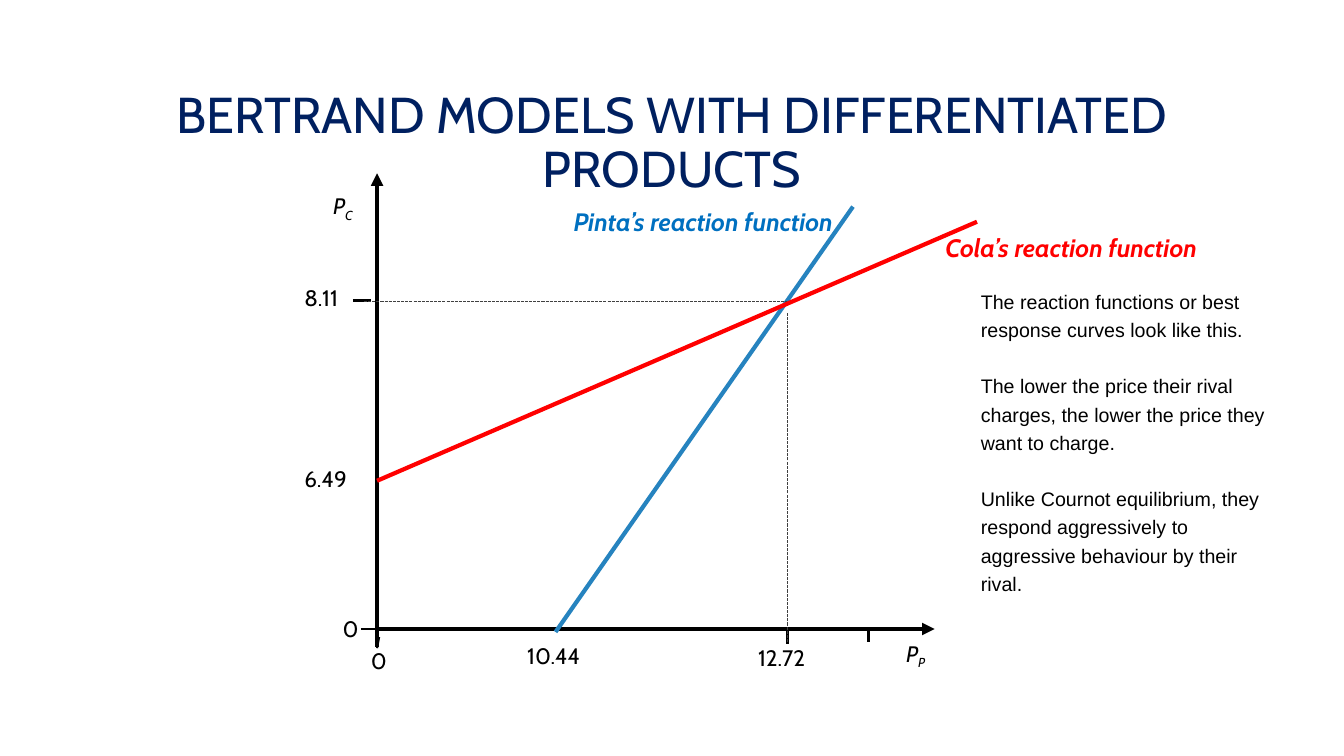
"""Build a slide of two reaction functions in a Bertrand price model."""
from lxml import etree
from pptx import Presentation, util as u
from pptx.dml.color import RGBColor
from pptx.enum import dml, shapes, text
from pptx.oxml.ns import qn

BLACK = RGBColor(0x00, 0x00, 0x00)
GUIDE_GREY = RGBColor(0x40, 0x40, 0x40)
NAVY = RGBColor(0x00, 0x20, 0x60)
RED = RGBColor(0xFF, 0x00, 0x00)
LABEL_BLUE = RGBColor(0x00, 0x70, 0xC0)
CURVE_BLUE = RGBColor(0x26, 0x83, 0xBF)

COLUMNS, ROWS = 133.3, 75
ORIGIN_X, ORIGIN_Y = 37.4, 62.4
EQUILIBRIUM_X, EQUILIBRIUM_Y = 78.1, 29.9
LABEL_HEIGHT = 3.7


def add_run(paragraph, words, size=16, font="Cabin", color=BLACK,
            bold=False, italic=False, baseline=None):
    """Add one formatted run to a paragraph."""
    run = paragraph.add_run()
    run.text = words
    run.font.size = u.Pt(size)
    run.font.name = font
    run.font.color.rgb = color
    run.font.bold = bold
    run.font.italic = italic
    if baseline:
        run.font._element.set("baseline", str(baseline))


class Diagram:
    """Hold the slide and its grid, and draw elements in columns and rows."""

    def __init__(self, deck):
        self.slide = deck.slides.add_slide(deck.slide_layouts[6])
        self.column = deck.slide_width / COLUMNS
        self.row = deck.slide_height / ROWS

    def place(self, column, row):
        """Turn columns and rows into slide lengths."""
        return round(column * self.column), round(row * self.row)

    def text(self, column, row, width, height, paragraphs, centred=False,
             spacing=1.0, gap=0, **style):
        """Add a text box; each paragraph is a list of words and format."""
        box = self.slide.shapes.add_textbox(
            *self.place(column, row), *self.place(width, height))
        frame = box.text_frame
        frame.word_wrap = True
        for index, runs in enumerate(paragraphs):
            paragraph = frame.add_paragraph() if index else frame.paragraphs[0]
            paragraph.line_spacing = spacing
            paragraph.space_before = u.Pt(gap if index else 0)
            if centred:
                paragraph.alignment = text.PP_ALIGN.CENTER
            for words, extra in runs:
                add_run(paragraph, words, **{**style, **extra})

    def label(self, column, row, width, words, **style):
        """Add a one-line label."""
        self.text(column, row, width, LABEL_HEIGHT, [[(words, {})]], **style)

    def price(self, column, row, firm):
        """Add an axis name: an italic P with the firm as subscript."""
        runs = [("P", {}), (firm, {"baseline": -25000})]
        self.text(column, row, 5.2, LABEL_HEIGHT, [runs],
                  centred=True, italic=True)

    def line(self, start, end, width=3, color=BLACK, arrow=False, dashed=False):
        """Add a straight line between two grid points."""
        line = self.slide.shapes.add_connector(
            shapes.MSO_CONNECTOR.STRAIGHT, *self.place(*start), *self.place(*end))
        line.line.width = u.Pt(width)
        line.line.color.rgb = color
        if dashed:
            line.line.dash_style = dml.MSO_LINE.SQUARE_DOT
        if arrow:
            outline = line.line._get_or_add_ln()
            etree.SubElement(outline, qn("a:tailEnd"), type="triangle")
        etree.SubElement(line._element.spPr, qn("a:effectLst"))


deck = Presentation()
deck.slide_width, deck.slide_height = u.Inches(13.33), u.Inches(7.5)
diagram = Diagram(deck)

diagram.line((ORIGIN_X, 64.2), (ORIGIN_X, 17.2), arrow=True)
diagram.line((37.2, ORIGIN_Y), (92.7, ORIGIN_Y), arrow=True)
diagram.line((ORIGIN_X, 64.3), (37.6, 63.2), width=1.5)
diagram.line((35.8, ORIGIN_Y), (37.6, ORIGIN_Y), width=1.5)
diagram.line((35, 29.8), (36.8, 29.8), width=2.5)
for tick_x, tick_y in ((86.1, 62.3), (EQUILIBRIUM_X, 62.5)):
    diagram.line((tick_x, tick_y), (tick_x, tick_y + 1.4), width=2)

for column, row, width, value in (
        (35.8, 63.7, 4.3, "0"), (33, 60.5, 2.8, "0"),
        (74.2, 63.4, 7.8, "12.72"), (51.3, 63.2, 7.8, "10.44"),
        (29.2, 27.7, 6.7, "8.11"), (29.2, 45.7, 7.1, "6.49")):
    diagram.label(column, row, width, value)
diagram.price(88.2, 63, "P")
diagram.price(31.4, 18.6, "C")

remarks = (
    "The reaction functions or best response curves look like this.",
    "The lower the price their rival charges, the lower the price they "
    "want to charge.",
    "Unlike Cournot equilibrium, they respond aggressively to aggressive "
    "behaviour by their rival.")
diagram.text(96.3, 27.8, 31, 31.9, [[(remark, {})] for remark in remarks],
             spacing=1.2, gap=20, size=14, font="Arial")

diagram.line((55.1, 62.7), (84.6, 20.5), color=CURVE_BLUE)
diagram.line((96.9, 22), (ORIGIN_X, 47.7), color=RED)
for start, end in (((EQUILIBRIUM_X, 63.7), (EQUILIBRIUM_X, 31.1)),
                   ((36.1, EQUILIBRIUM_Y), (EQUILIBRIUM_X, EQUILIBRIUM_Y))):
    diagram.line(start, end, width=0.75, color=GUIDE_GREY, dashed=True)

for column, row, firm, color in ((88.4, 22.6, "Cola", RED),
                                 (51.9, 20, "Pinta", LABEL_BLUE)):
    diagram.label(column, row, 35.7, f"{firm}’s reaction function",
                  centred=True, size=18, color=color, bold=True, italic=True)

title = "BERTRAND MODELS WITH DIFFERENTIATED PRODUCTS"
diagram.text(10, 8.4, 113.3, 17.5, [[(title, {})]], centred=True,
             spacing=0.9, size=36, color=NAVY)

deck.save("out.pptx")
